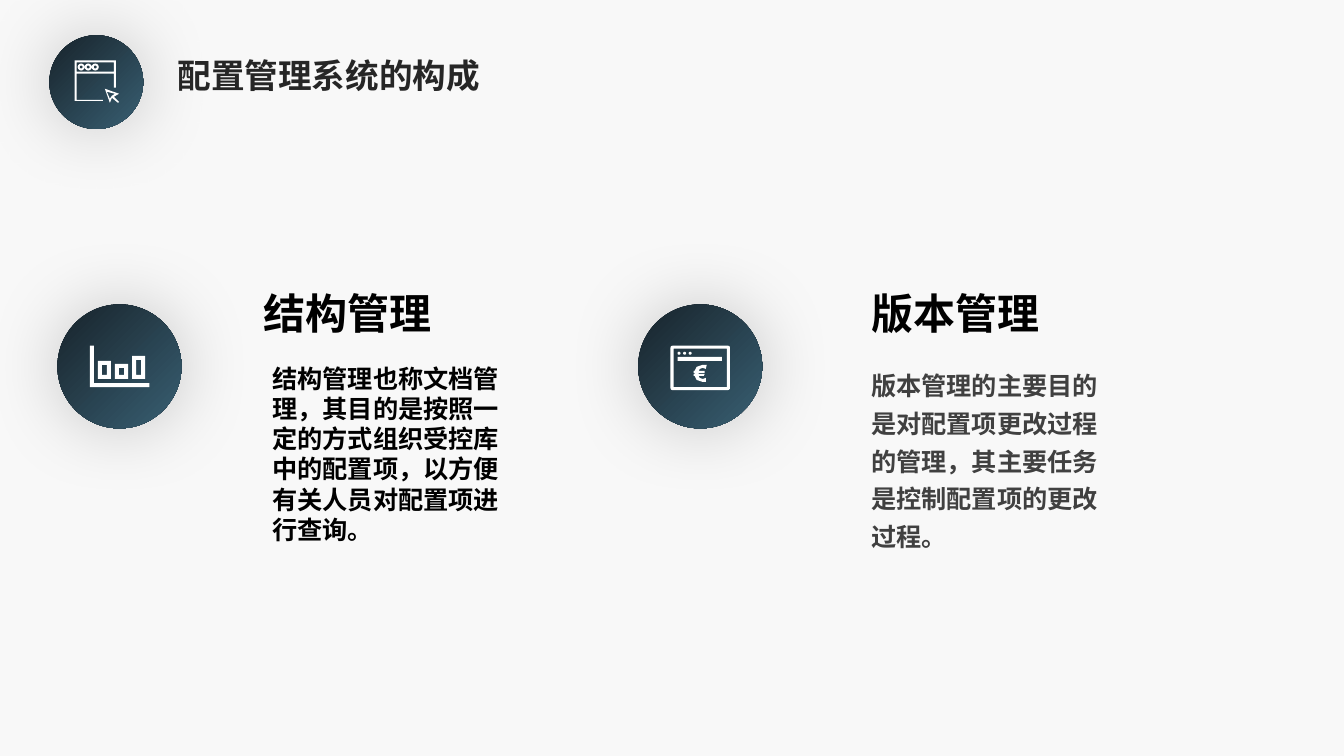
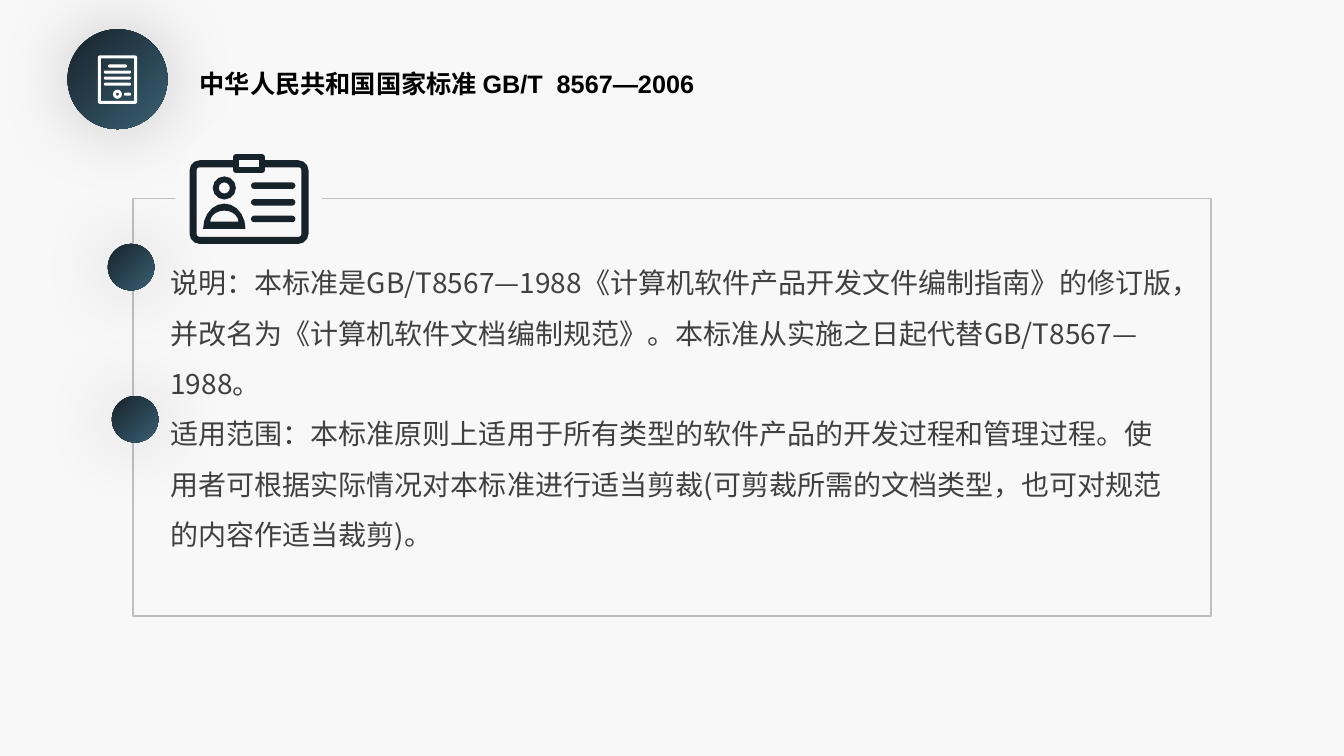
from math import cos, pi, sin

from lxml.etree import SubElement
from pptx import Presentation
from pptx.dml.color import RGBColor
from pptx.enum.shapes import MSO_SHAPE as SHAPE
from pptx.enum.text import MSO_ANCHOR as ANCHOR, MSO_AUTO_SIZE as AUTO, PP_ALIGN as ALIGN
from pptx.oxml.ns import qn
from pptx.util import Inches, Pt

NAVY, TEAL, WHITE = "17232B", "395F72", "FFFFFF"
PAPER, GREY, BLACK = "F8F8F8", "BFBFBF", "000000"
TITLE, BODY = "262626", "404040"
CJK = "Noto Sans CJK SC"


def rgb(value):
    return RGBColor.from_string(value)


def inches(*values):
    return [Inches(v) for v in values]


def paint(sp, fill=None, line=None, stroke=0.01):
    sp.shadow.inherit = False
    if fill:
        sp.fill.solid()
        sp.fill.fore_color.rgb = rgb(fill)
    else:
        sp.fill.background()
    if line:
        sp.line.color.rgb = rgb(line)
        sp.line.width = Inches(stroke)
    else:
        sp.line.fill.background()
    return sp


def add(shapes, kind, box, **fmt):
    return paint(shapes.add_shape(kind, *inches(*box)), **fmt)


def rounded(x, y, w, h, r=0):
    if not r:
        return [(x, y), (x + w, y), (x + w, y + h), (x, y + h)]
    centres = [(x + w - r, y + h - r), (x + r, y + h - r), (x + r, y + r), (x + w - r, y + r)]
    return [(cx + r * cos(a), cy + r * sin(a))
            for q, (cx, cy) in enumerate(centres)
            for a in (pi / 2 * (q + step / 3) for step in range(4))]


def hollow(x, y, w, h, t, r=0):
    return [rounded(x, y, w, h, r),
            rounded(x + t, y + t, w - 2 * t, h - 2 * t, max(r - t, 0))]


def bar(x, y, w, h):
    return rounded(x, y, w, h, h / 2)


def ring(x, y, d, t):
    return hollow(x, y, d, d, t, d / 2)


def arch(cx, base, rx, ry):
    return [(cx - rx * cos(pi * i / 10), base - ry * sin(pi * i / 10)) for i in range(11)]


def window_icon():
    frame = [(0, 0), (0.41, 0), (0.41, 0.27), (0.39, 0.27), (0.39, 0.13), (0.02, 0.13),
             (0.02, 0.39), (0.28, 0.39), (0.28, 0.4), (0, 0.4)]
    arrow = [(0.3, 0.28), (0.44, 0.33), (0.39, 0.36), (0.44, 0.41), (0.43, 0.42),
             (0.37, 0.37), (0.35, 0.42)]
    arrow_hole = [(0.32, 0.31), (0.35, 0.38), (0.37, 0.35), (0.4, 0.33)]
    contours = [frame, rounded(0.02, 0.02, 0.37, 0.09), arrow, arrow_hole]
    for i in range(3):
        contours += ring(0.03 + 0.07 * i, 0.03, 0.07, 0.02)
    return contours


def chart_icon():
    contours = [[(0, 0), (0.04, 0), (0.04, 0.37), (0.59, 0.37), (0.59, 0.41), (0, 0.41)]]
    for left, height in ((0.08, 0.18), (0.25, 0.15), (0.42, 0.23)):
        contours += hollow(left, 0.33 - height, 0.13, height, 0.04)
    return contours


def euro_icon():
    euro = [(0.36, 0.19), (0.32, 0.19), (0.26, 0.21), (0.24, 0.25), (0.23, 0.25), (0.23, 0.27),
            (0.24, 0.27), (0.24, 0.28), (0.23, 0.28), (0.23, 0.3), (0.24, 0.3), (0.26, 0.34),
            (0.32, 0.36), (0.35, 0.36), (0.35, 0.32), (0.32, 0.33), (0.29, 0.32), (0.28, 0.3),
            (0.33, 0.3), (0.34, 0.28), (0.28, 0.28), (0.28, 0.27), (0.34, 0.27), (0.34, 0.25),
            (0.28, 0.25), (0.29, 0.23), (0.32, 0.22), (0.35, 0.23)]
    dots = [bar(0.07 + 0.055 * i, 0.06, 0.03, 0.03) for i in range(3)]
    return hollow(0, 0, 0.59, 0.44, 0.03, 0.02) + dots + [rounded(0.07, 0.11, 0.44, 0.04), euro]


def document_icon():
    lines = [bar(left, 0.09 + 0.06 * i, width, 0.03)
             for i, (left, width) in enumerate([(0.1, 0.19)] + [(0.06, 0.27)] * 3)]
    return (hollow(0, 0, 0.39, 0.48, 0.03, 0.02) + lines
            + ring(0.15, 0.34, 0.09, 0.03) + [bar(0.26, 0.37, 0.07, 0.03)])


def card_icon():
    lines = [bar(0.61, 0.28 + 0.165 * i, 0.44, 0.065) for i in range(3)]
    person = [arch(0.345, 0.74, 0.21, 0.25), arch(0.345, 0.67, 0.14, 0.11)]
    return (hollow(0, 0.06, 1.18, 0.83, 0.07, 0.1) + ring(0.23, 0.22, 0.23, 0.06)
            + person + lines)


def draw(shapes, x, y, contours, colour):
    start, *_ = contours[0]
    builder = shapes.build_freeform(*inches(x + start[0], y + start[1]))
    for i, contour in enumerate(contours):
        spots = [inches(x + px, y + py) for px, py in contour]
        if i:
            builder.move_to(*spots[0])
        builder.add_line_segments(spots[1:], close=True)
    paint(builder.convert_to_shape(), fill=colour)


def disc(shapes, x, y, size):
    sp = add(shapes, SHAPE.OVAL, (x, y, size, size), fill=NAVY)
    sp.fill.gradient()
    sp.fill.gradient_angle = 315
    for stop, colour in zip(sp.fill.gradient_stops, (NAVY, TEAL)):
        stop.color.rgb = rgb(colour)
    effects = sp.element.spPr.find(qn("a:effectLst"))
    shadow = SubElement(effects, qn("a:outerShdw"), blurRad=str(Pt(53)),
                        dist="0", dir="0", algn="ctr", rotWithShape="0")
    colour = SubElement(shadow, qn("a:srgbClr"), val=BLACK)
    SubElement(colour, qn("a:alpha"), val="20000")


def badge(s, x, y, size, icon, dx, dy):
    shapes = s.shapes.add_group_shape().shapes
    disc(shapes, x, y, size)
    draw(shapes, x + dx, y + dy, icon(), WHITE)


def write(sp, box, paragraphs, colour, size, bold=True, font=CJK, spacing=1.0,
          anchor=ANCHOR.TOP):
    sp.left, sp.top, sp.width, sp.height = inches(*box)
    sp.element.getparent().append(sp.element)
    tf = sp.text_frame
    for name, value in dict(word_wrap=True, auto_size=AUTO.NONE, vertical_anchor=anchor).items():
        setattr(tf, name, value)
    for i, text in enumerate(paragraphs):
        p = tf.add_paragraph() if i else tf.paragraphs[0]
        pPr = p._p.get_or_add_pPr()
        pPr.set("marL", "0")
        pPr.set("indent", "0")
        SubElement(pPr, qn("a:buNone"))
        for name, value in dict(alignment=ALIGN.LEFT, line_spacing=spacing,
                                space_before=Pt(0)).items():
            setattr(p, name, value)
        r = p.add_run()
        r.text = text
        for name, value in dict(size=Pt(size), bold=bold, name=font).items():
            setattr(r.font, name, value)
        r.font.color.rgb = rgb(colour)
        SubElement(r._r.get_or_add_rPr(), qn("a:ea"), typeface=CJK)


def write_title(s, box, text, **fmt):
    write(s.shapes.title, box, [text], anchor=ANCHOR.MIDDLE, **fmt)


def topic(s, x, y, icon, head, head_x, heading, body, body_x, text, **fmt):
    badge(s, x, y, 1.23, icon, 0.32, 0.41)
    write(head, (head_x, y - 0.32, 2.24, 0.71), [heading], BLACK, 30, spacing=1.2)
    write(body, (body_x, y + 0.53, 2.47, 1.99), [text], size=18, **fmt)


def panel(s, x, y, w, h, body, paragraphs):
    add(s.shapes, SHAPE.RECTANGLE, (x, y, w, h), line=GREY, stroke=0.014)
    add(s.shapes, SHAPE.OVAL, (x + 0.42, y - 0.86, 1.45, 1.73), fill=PAPER)
    card = s.shapes.add_group_shape().shapes
    draw(card, x + 0.56, y - 0.44, card_icon(), NAVY)
    add(card, SHAPE.RECTANGLE, (x + 1.02, y - 0.41, 0.26, 0.13),
        fill=PAPER, line=NAVY, stroke=0.06)
    write(body, (x + 0.27, y + 0.45, 10.17, 3.48), paragraphs, BODY, 20, bold=False, spacing=1.5)
    for dx, dy in ((-0.25, 0.45), (-0.21, 1.96)):
        disc(s.shapes, x + dx, y + dy, 0.46)


def components_slide(prs):
    s = prs.slides.add_slide(prs.slide_layouts[4])
    ph = s.placeholders
    badge(s, 0.49, 0.35, 0.93, window_icon, 0.25, 0.25)
    write_title(s, (1.66, 0.49, 3.6, 0.5), "配置管理系统的构成", colour=TITLE, size=24)
    topic(s, 0.57, 3.02, chart_icon, ph[1], 2.51, "结构管理", ph[2], 2.6,
          "结构管理也称文档管理，其目的是按照一定的方式组织受控库中的配置项，以方便有关人员对配置项进行查询。",
          colour=BLACK, font="Arial")
    topic(s, 6.33, 3.02, euro_icon, ph[3], 8.54, "版本管理", ph[4], 8.54,
          "版本管理的主要目的是对配置项更改过程的管理，其主要任务是控制配置项的更改过程。",
          colour=BODY, spacing=1.25)


def standard_slide(prs):
    s = prs.slides.add_slide(prs.slide_layouts[1])
    write_title(s, (1.88, 0.63, 8.69, 0.4), "中华人民共和国国家标准 GB/T  8567—2006",
                colour=BLACK, size=18, font="Arial")
    badge(s, 0.67, 0.29, 0.99, document_icon, 0.3, 0.26)
    panel(s, 1.32, 1.97, 10.69, 4.14, s.placeholders[1], [
        "说明：本标准是GB/T8567—1988《计算机软件产品开发文件编制指南》的修订版，并改名为《计算机软件文档编制规范》。"
        "本标准从实施之日起代替GB/T8567—1988。",
        "适用范围：本标准原则上适用于所有类型的软件产品的开发过程和管理过程。"
        "使用者可根据实际情况对本标准进行适当剪裁(可剪裁所需的文档类型，也可对规范的内容作适当裁剪)。",
    ])


def main():
    prs = Presentation()
    prs.slide_width, prs.slide_height = inches(13.33, 7.5)
    fill = prs.slide_master.background.fill
    fill.solid()
    fill.fore_color.rgb = rgb(PAPER)
    components_slide(prs)
    standard_slide(prs)
    prs.save("out.pptx")


if __name__ == "__main__":
    main()
